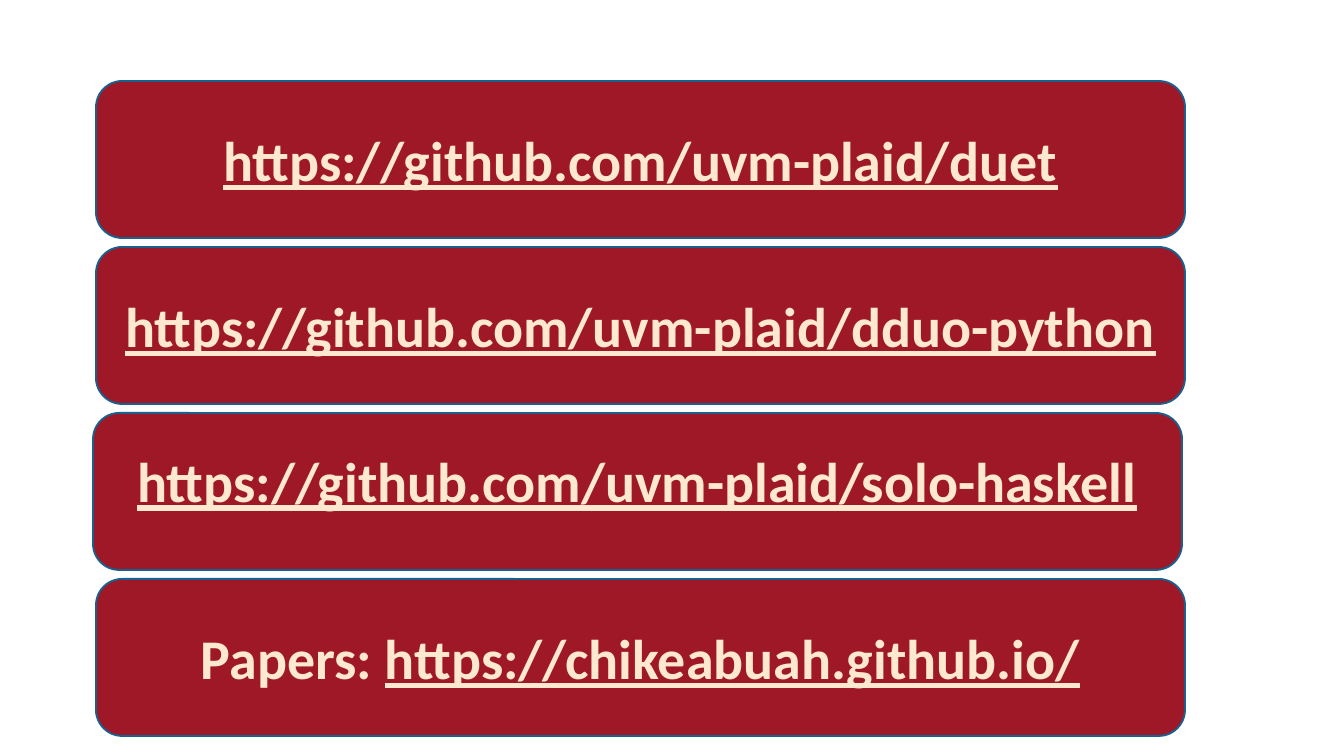
"""Build a slide of four stacked link cards."""
from pptx import Presentation
from pptx.dml.color import RGBColor
from pptx.enum.shapes import MSO_SHAPE
from pptx.enum.text import MSO_ANCHOR, PP_ALIGN
from pptx.util import Emu, Pt

ROUNDED = MSO_SHAPE.ROUNDED_RECTANGLE
MIDDLE = MSO_ANCHOR.MIDDLE
CENTER = PP_ALIGN.CENTER

EMU_PER_PX = 914400 / 134.4
SLIDE_W, SLIDE_H = 1344, 756
CARD_LEFT, CARD_TOP = 96, 81
CARD_W, CARD_H, CARD_PITCH = 1089, 157, 166
INSET_X, INSET_Y = 9, 5

CARD_FILL, CARD_LINE, TEXT_COLOR = "9F1827", "18618F", "FEE9D0"
TEXT_FORMAT = {"name": "Calibri", "size": Pt(30), "bold": True}

CARDS = [
    {"link": "https://github.com/uvm-plaid/duet"},
    {"link": "https://github.com/uvm-plaid/dduo-python"},
    {"link": "https://github.com/uvm-plaid/solo-haskell", "shift": -3, "lift": 23},
    {"link": "https://chikeabuah.github.io/", "label": "Papers: "},
]


def px(n):
    """Turn pixels into EMU."""
    return Emu(round(n * EMU_PER_PX))


def rgb(value):
    """Turn a hex string into a colour."""
    return RGBColor.from_string(value)


def add_run(p, text, underline):
    """Add one formatted run to a paragraph."""
    r = p.add_run()
    r.text = text
    for name, value in TEXT_FORMAT.items():
        setattr(r.font, name, value)
    r.font.underline = underline
    r.font.color.rgb = rgb(TEXT_COLOR)


def add_card(s, top, link, label="", shift=0, lift=0):
    """Add a rounded card with an optional label and an underlined link."""
    sp = s.shapes.add_shape(
        ROUNDED, px(CARD_LEFT + shift), px(top), px(CARD_W), px(CARD_H)
    )
    sp.shadow.inherit = False
    sp.fill.solid()
    sp.fill.fore_color.rgb = rgb(CARD_FILL)
    sp.line.color.rgb = rgb(CARD_LINE)
    sp.line.width = Pt(1)
    tf = sp.text_frame
    frame = {
        "word_wrap": True,
        "vertical_anchor": MIDDLE,
        "margin_left": px(INSET_X),
        "margin_right": px(INSET_X),
        "margin_top": px(INSET_Y),
        "margin_bottom": px(INSET_Y + lift),
    }
    for name, value in frame.items():
        setattr(tf, name, value)
    p = tf.paragraphs[0]
    p.alignment = CENTER
    if label:
        add_run(p, label, False)
    add_run(p, link, True)


def main():
    """Build and save the slide."""
    prs = Presentation()
    prs.slide_width, prs.slide_height = px(SLIDE_W), px(SLIDE_H)
    s = prs.slides.add_slide(prs.slide_layouts[6])
    for i, card in enumerate(CARDS):
        add_card(s, CARD_TOP + i * CARD_PITCH, **card)
    prs.save("out.pptx")


if __name__ == "__main__":
    main()
